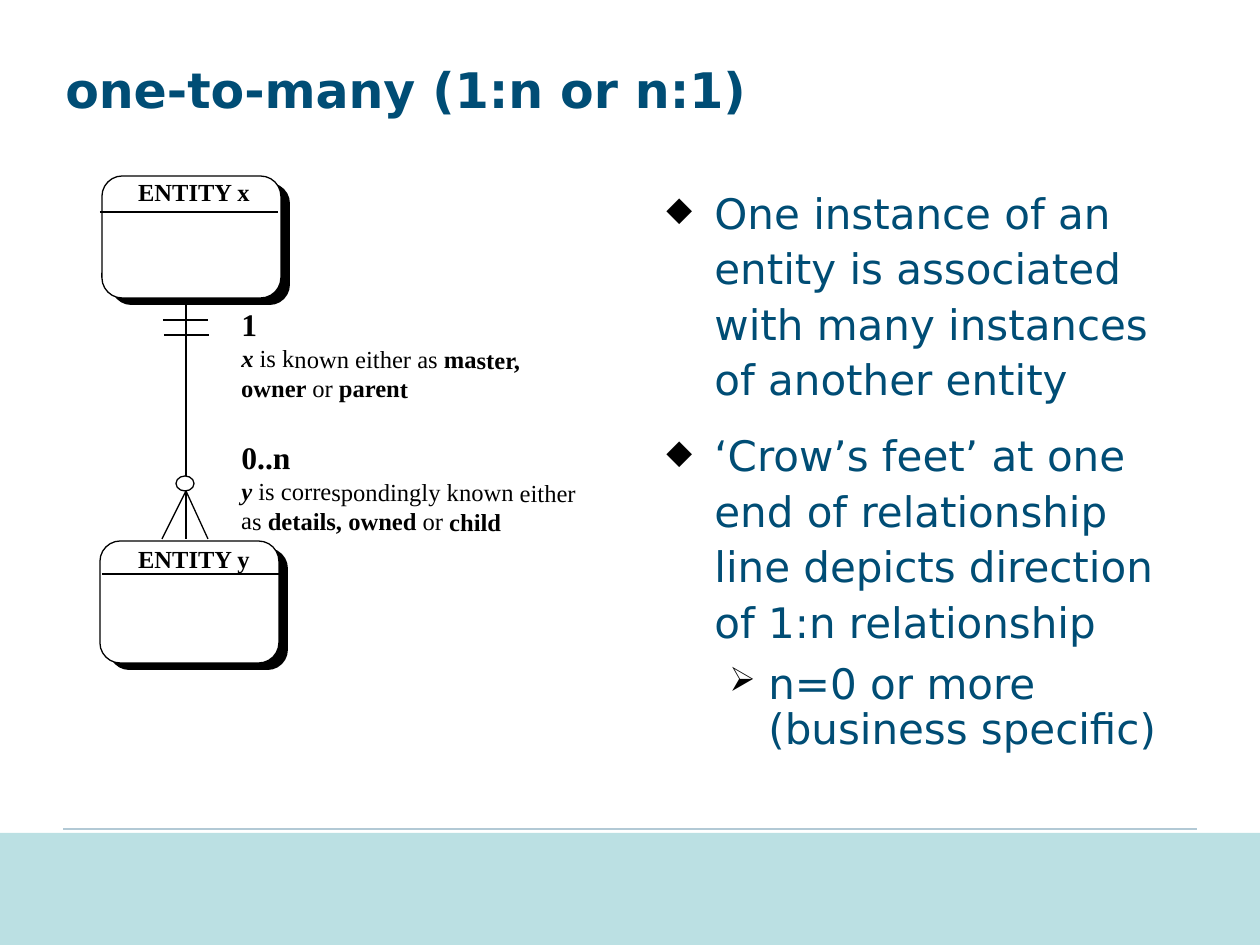
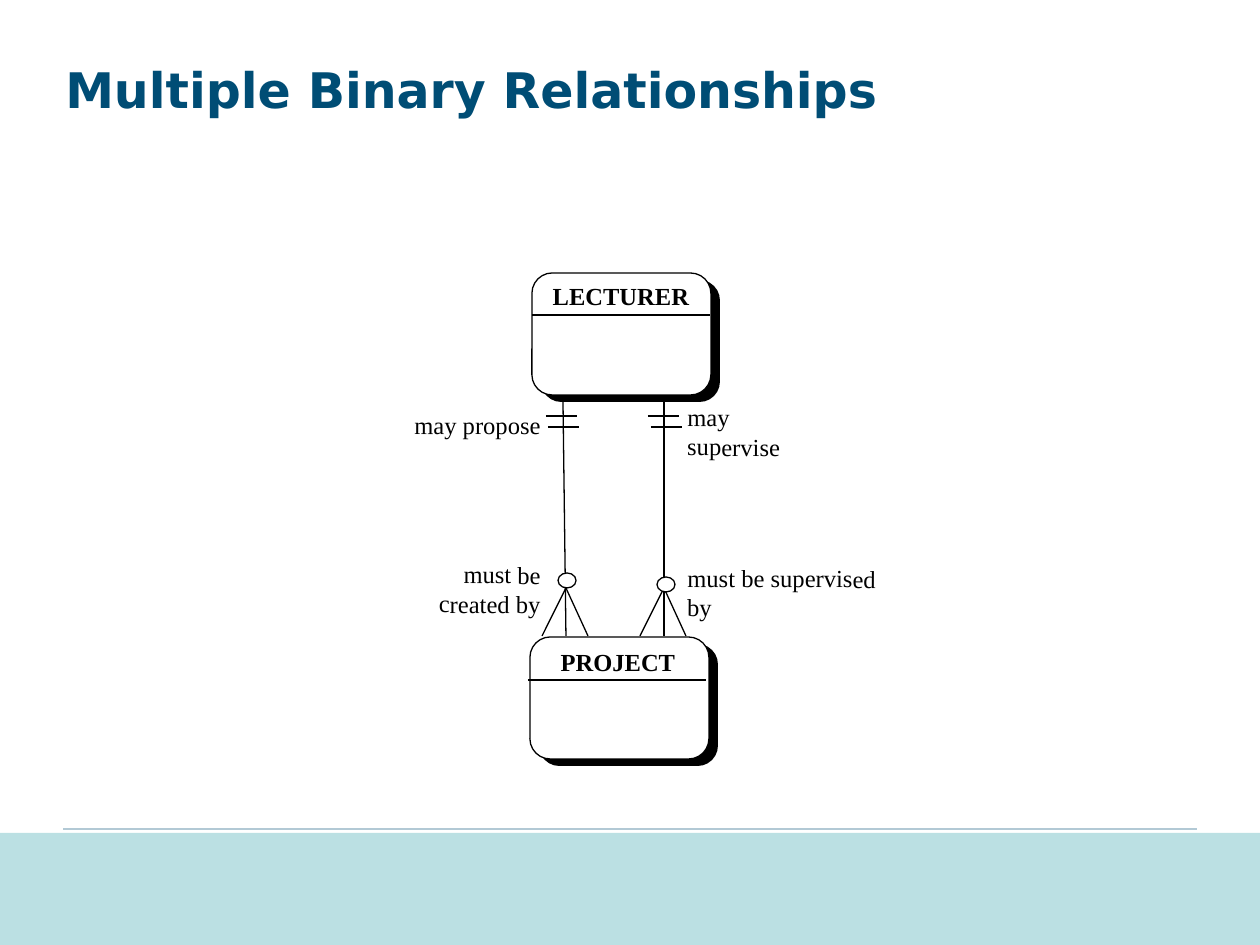
from lxml.etree import SubElement
from pptx import Presentation
from pptx.dml.color import RGBColor
from pptx.enum.shapes import MSO_CONNECTOR, MSO_SHAPE
from pptx.enum.text import MSO_ANCHOR, PP_ALIGN
from pptx.oxml.ns import qn
from pptx.util import Pt

PX = 914400 / 126
color = RGBColor.from_string
BLACK, WHITE, NAVY = "000000", "FFFFFF", "004D75"
RULE_BLUE, BAND_BLUE = "B2C9D5", "BBE0E3"
SANS, SERIF = "DejaVu Sans", "Times New Roman"
ROUNDED = MSO_SHAPE.FLOWCHART_ALTERNATE_PROCESS
LEFT, CENTER, RIGHT = PP_ALIGN.LEFT, PP_ALIGN.CENTER, PP_ALIGN.RIGHT


def add_figure(page, preset, bounds, fill, outline=None):
    figure = page.shapes.add_shape(preset, *[round(n * PX) for n in bounds])
    figure.shadow.inherit = False
    figure.fill.solid()
    figure.fill.fore_color.rgb = color(fill)
    if outline:
        figure.line.color.rgb = color(outline)
        figure.line.width = Pt(0.75)
    else:
        figure.line.fill.background()


def add_text(page, bounds, paragraphs, font=SERIF, ink=BLACK, align=LEFT):
    box = page.shapes.add_textbox(*[round(n * PX) for n in bounds])
    frame = box.text_frame
    frame.word_wrap = True
    frame.vertical_anchor = MSO_ANCHOR.TOP
    for index, (size, runs) in enumerate(paragraphs):
        para = frame.paragraphs[0] if index == 0 else frame.add_paragraph()
        para.alignment = align
        for text, style in runs:
            span = para.add_run()
            span.text = text
            span.font.name = font
            span.font.size = Pt(size)
            span.font.bold = "b" in style
            span.font.italic = "i" in style
            span.font.color.rgb = color(ink)
    return box


slides = [
    {
        "title": "one-to-many (1:n or n:1)",
        "bullets": [
            ("◆", "One instance of an entity is associated with many instances of another entity"),
            ("◆", "‘Crow’s feet’ at one end of relationship line depicts direction of 1:n relationship"),
            ("➢", "n=0 or more (business specific)"),
        ],
        "entities": [
            ("ENTITY x", (102, 176), (100, 212), (98, 171)),
            ("ENTITY y", (100, 541), (102, 574), (98, 538)),
        ],
        "relationships": [
            {"top": (186, 300), "apex": (186, 491), "circle": (176, 476),
             "bars": [(163, 320), (164, 335)], "bar_width": 45},
        ],
        "labels": [
            ((229, 300, 305, 110), LEFT, [
                (18, [("1", "b")]),
                (14, [("x ", "bi"), ("is known either as ", ""), ("master, owner ", "b"),
                      ("or", ""), (" parent", "b")]),
            ]),
            ((229, 433, 373, 110), LEFT, [
                (18, [("0..n", "b")]),
                (14, [("y ", "bi"), ("is correspondingly known either as ", ""),
                      ("details, owned ", "b"), ("or", ""), (" child", "b")]),
            ]),
        ],
    },
    {
        "title": "Multiple Binary Relationships",
        "bullets": [],
        "entities": [
            ("LECTURER", (532, 273), (532, 315), (525, 275)),
            ("PROJECT", (530, 637), (528, 680), (522, 641)),
        ],
        "relationships": [
            {"top": (563, 401), "apex": (566, 588), "circle": (558, 573),
             "bars": [(546, 416), (548, 427)], "bar_width": 31},
            {"top": (664, 396), "apex": (664, 588), "circle": (657, 577),
             "bars": [(648, 416), (651, 427)], "bar_width": 31},
        ],
        "labels": [
            ((399, 404, 154, 42), RIGHT, [(14, [("may propose", "")])]),
            ((381, 553, 172, 72), RIGHT, [(14, [("must be created by", "")])]),
            ((675, 396, 129, 72), LEFT, [(14, [("may supervise", "")])]),
            ((675, 557, 217, 72), LEFT, [(14, [("must be supervised by", "")])]),
        ],
    },
]

bullet_styles = {
    "◆": {"margin": 48, "indent": -48, "spacing": 1.1, "before": 7.2, "after": 4.8},
    "➢": {"margin": 102, "indent": -39, "spacing": 0.9, "before": 4.8, "after": 2.4},
}

deck = Presentation()
deck.slide_width = round(1260 * PX)
deck.slide_height = round(945 * PX)

for content in slides:
    page = deck.slides.add_slide(deck.slide_layouts[6])
    page.background.fill.solid()
    page.background.fill.fore_color.rgb = color(WHITE)
    add_text(page, (53, 53, 1144, 147), [(28, [(content["title"], "b")])], SANS, NAVY)

    if content["bullets"]:
        paragraphs = [(24, [(text, "")]) for symbol, text in content["bullets"]]
        body = add_text(page, (654, 176, 525, 599), paragraphs, SANS, NAVY)
        for index, (symbol, text) in enumerate(content["bullets"]):
            style = bullet_styles[symbol]
            para = body.text_frame.paragraphs[index]
            properties = para._p.get_or_add_pPr()
            properties.set("marL", str(round(style["margin"] * PX)))
            properties.set("indent", str(round(style["indent"] * PX)))
            bullet_color = SubElement(properties, qn("a:buClr"))
            SubElement(bullet_color, qn("a:srgbClr"), val=BLACK)
            SubElement(properties, qn("a:buSzPct"), val="80000")
            SubElement(properties, qn("a:buChar"), char=symbol)
            para.line_spacing = style["spacing"]
            para.space_before = Pt(style["before"] if index else 0)
            para.space_after = Pt(style["after"])

    lines = [((63, 829), (1197, 829), RULE_BLUE, 1.25)]
    for name, (left, top), (rule_left, rule_top), name_at in content["entities"]:
        add_figure(page, ROUNDED, (left + 9, top + 7, 179, 122), BLACK)
        add_figure(page, ROUNDED, (left, top, 179, 122), WHITE, BLACK)
        add_text(page, (*name_at, 192, 45), [(14, [(name, "b")])], align=CENTER)
        lines.append(((rule_left, rule_top), (rule_left + 178, rule_top), BLACK, 0.75))

    for link in content["relationships"]:
        x, y = link["apex"]
        lines.append((link["top"], (x, y + 48), BLACK, 0.75))
        for toe in (-24, 22):
            lines.append(((x, y), (x + toe, y + 48), BLACK, 0.75))
        for left, top in link["bars"]:
            lines.append(((left, top), (left + link["bar_width"], top), BLACK, 0.75))

    for start, end, ink, weight in lines:
        ends = [round(n * PX) for n in (*start, *end)]
        line = page.shapes.add_connector(MSO_CONNECTOR.STRAIGHT, *ends)
        line.line.color.rgb = color(ink)
        line.line.width = Pt(weight)
        SubElement(line._element.spPr, qn("a:effectLst"))

    for link in content["relationships"]:
        add_figure(page, MSO_SHAPE.OVAL, (*link["circle"], 18, 15), WHITE, BLACK)

    for bounds, align, paragraphs in content["labels"]:
        label = add_text(page, bounds, paragraphs, align=align)
        label.rotation = 0.3

    add_figure(page, MSO_SHAPE.RECTANGLE, (0, 833, 1260, 112), BAND_BLUE)

deck.save("out.pptx")
